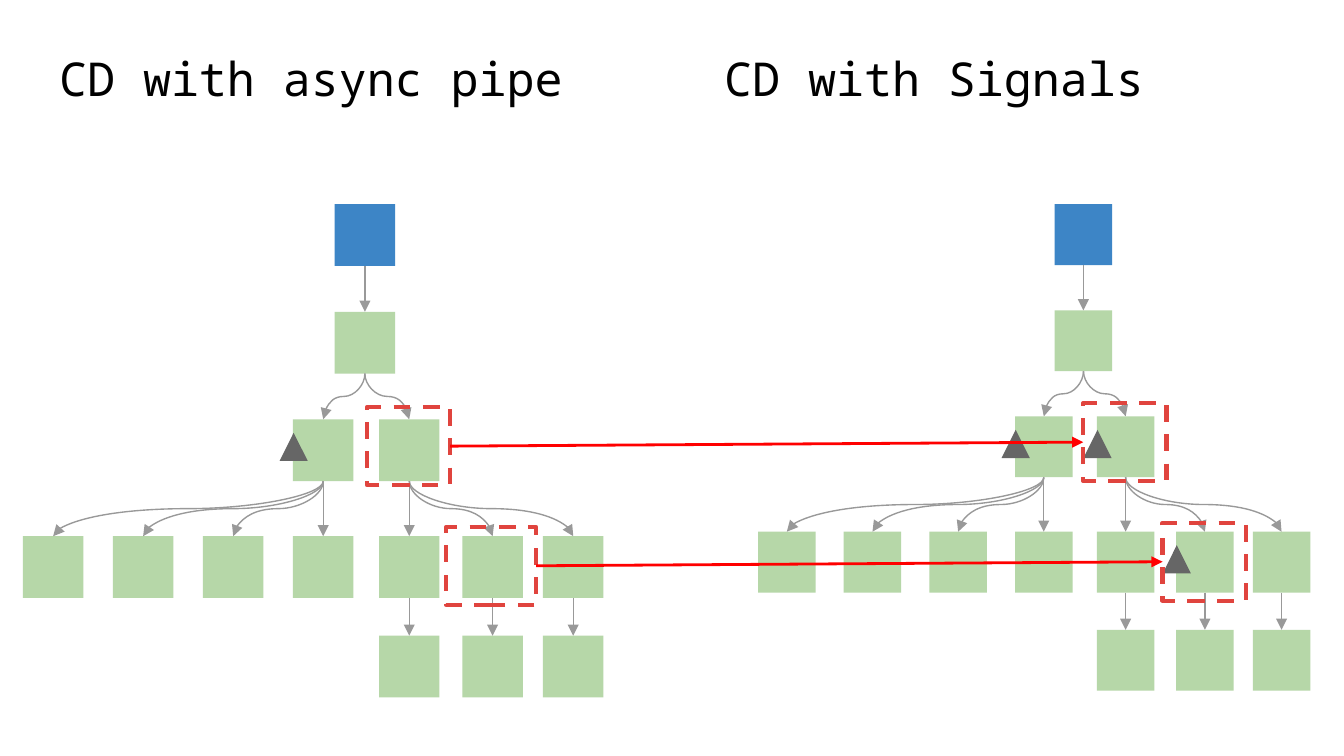
import pptx
import pptx.util
import pptx.dml.color
import pptx.enum.dml
import pptx.enum.shapes
import pptx.enum.text
import pptx.oxml
import pptx.oxml.ns

Inches, Pt = pptx.util.Inches, pptx.util.Pt
SHAPE = pptx.enum.shapes.MSO_SHAPE
LINK = pptx.enum.shapes.MSO_CONNECTOR
COLORS = {"root": "3D85C6", "node": "B6D7A8", "edge": "999999", "mark": "666666",
          "frame": "E0443E", "arrow": "FF0000", "text": "000000"}

# Node positions inside a tree of the base size
BASE = (4.32, 3.66)
SIDE = (0.45, 0.46)
ROWS = (0, 0.8, 1.6, 2.47, 3.21)
FAN = [0.67 * i for i in range(4)]
TRIO = (2.65, 3.27, 3.87)
NODES = {"root": (2.32, ROWS[0]), "app": (2.32, ROWS[1]),
         "left": (FAN[3], ROWS[2]), "right": (TRIO[0], ROWS[2])}
EDGES = [("root", "app"), ("app", "left"), ("app", "right")]
for i, x in enumerate(FAN):
    NODES[f"fan{i}"] = (x, ROWS[3])
    EDGES.append(("left", f"fan{i}"))
for i, x in enumerate(TRIO):
    NODES[f"mid{i}"] = (x, ROWS[3])
    NODES[f"low{i}"] = (x, ROWS[4])
    EDGES += [("right", f"mid{i}"), (f"mid{i}", f"low{i}")]


def color(name):
    return pptx.dml.color.RGBColor.from_string(COLORS[name])


def style(item, values):
    for key, value in values.items():
        setattr(item, key, value)


def block(slide, kind, box, fill):
    shape = slide.shapes.add_shape(kind, *map(Inches, box))
    shape.shadow.inherit = False
    shape.line.fill.background()
    if fill:
        shape.fill.solid()
        shape.fill.fore_color.rgb = color(fill)
    else:
        shape.fill.background()
    return shape


def finish(link, name, width):
    """Colour a connector, give it an arrowhead and drop its shadow."""
    link.line.color.rgb = color(name)
    link.line.width = Pt(width)
    tail = pptx.oxml.parse_xml(
        f'<a:tailEnd {pptx.oxml.ns.nsdecls("a")} type="triangle"/>')
    props = link._element.spPr
    props.find(pptx.oxml.ns.qn("a:ln")).append(tail)
    props.append(pptx.oxml.parse_xml(f'<a:effectLst {pptx.oxml.ns.nsdecls("a")}/>'))


def join(slide, start, start_side, end, end_side, name, width):
    link = slide.shapes.add_connector(LINK.STRAIGHT, 0, 0, 0, 0)
    link.begin_connect(start, start_side)
    link.end_connect(end, end_side)
    finish(link, name, width)


def curve(slide, start, end):
    """Draw an S-curve from the bottom of one node to the top of another."""
    x1, y1 = start.left + start.width // 2, start.top + start.height
    x2, y2 = end.left + end.width // 2, end.top
    mid_x, mid_y = (x1 + x2) // 2, (y1 + y2) // 2
    half_w, half_h = (y2 - y1) // 2, abs(x2 - x1) // 2
    # A quarter turn makes the curve leave and arrive vertically
    turn = -1 if x2 > x1 else 1
    link = slide.shapes.add_connector(
        LINK.CURVE, mid_x - turn * half_w, mid_y - half_h,
        mid_x + turn * half_w, mid_y + half_h)
    link._element.spPr.xfrm.set("rot", "16200000" if turn < 0 else "5400000")
    finish(link, "edge", 0.75)


def tree(slide, box, marks):
    """Fill the box with a component tree; marks names the flagged nodes."""
    left, top, width, height = box
    sx, sy = width / BASE[0], height / BASE[1]
    nodes = {}
    for name, (x, y) in NODES.items():
        place = (left + x * sx, top + y * sy, SIDE[0] * sx, SIDE[1] * sy)
        nodes[name] = block(slide, SHAPE.RECTANGLE, place,
                            "root" if name == "root" else "node")
    for start, end in EDGES:
        if NODES[start][0] == NODES[end][0]:
            join(slide, nodes[start], 2, nodes[end], 0, "edge", 0.75)
        else:
            curve(slide, nodes[start], nodes[end])
    for name in marks:
        node = nodes[name]
        block(slide, SHAPE.ISOSCELES_TRIANGLE,
              (node.left.inches - 0.1, node.top.inches + 0.1, 0.21, 0.21), "mark")


def frame(slide, box):
    shape = block(slide, SHAPE.RECTANGLE, box, None)
    shape.line.color.rgb = color("frame")
    style(shape.line, {"width": Pt(2.25),
                       "dash_style": pptx.enum.dml.MSO_LINE.DASH})
    return shape


def head(shape, box, text):
    style(shape, dict(zip(("left", "top", "width", "height"), map(Inches, box))))
    body = shape.text_frame
    style(body, {"word_wrap": True, "auto_size": pptx.enum.text.MSO_AUTO_SIZE.NONE,
                 "vertical_anchor": pptx.enum.text.MSO_ANCHOR.TOP})
    style(body, {f"margin_{side}": Inches(0.1)
                 for side in ("left", "top", "right", "bottom")})
    line = body.paragraphs[0]
    line.alignment = pptx.enum.text.PP_ALIGN.LEFT
    run = line.add_run()
    run.text = text
    style(run.font, {"name": "Noto Sans Mono", "size": Pt(25)})
    run.font.color.rgb = color("text")


def main():
    deck = pptx.Presentation()
    wide = Inches(10)
    style(deck, {"slide_width": wide, "slide_height": wide * 9 // 16})
    slide = deck.slides.add_slide(deck.slide_layouts[5])

    # Headings
    head(slide.shapes.title, (0.34, 0.27, 6.31, 0.58), "CD with async pipe")
    head(slide.shapes.add_textbox(0, 0, 0, 0), (5.29, 0.27, 4.32, 0.58),
         "CD with Signals")

    # Component trees
    tree(slide, (0.17, 1.52, 4.32, 3.66), ["left"])
    tree(slide, (5.64, 1.52, 4.11, 3.61), ["left", "mid1", "right"])

    # Dashed frames and the arrows between them
    pairs = [((2.73, 3.03, 0.62, 0.58), (8.06, 3, 0.62, 0.58)),
             ((3.32, 3.92, 0.67, 0.58), (8.65, 3.89, 0.62, 0.58))]
    for start, end in pairs:
        join(slide, frame(slide, start), 3, frame(slide, end), 1, "arrow", 1.5)

    deck.save("out.pptx")


if __name__ == "__main__":
    main()
